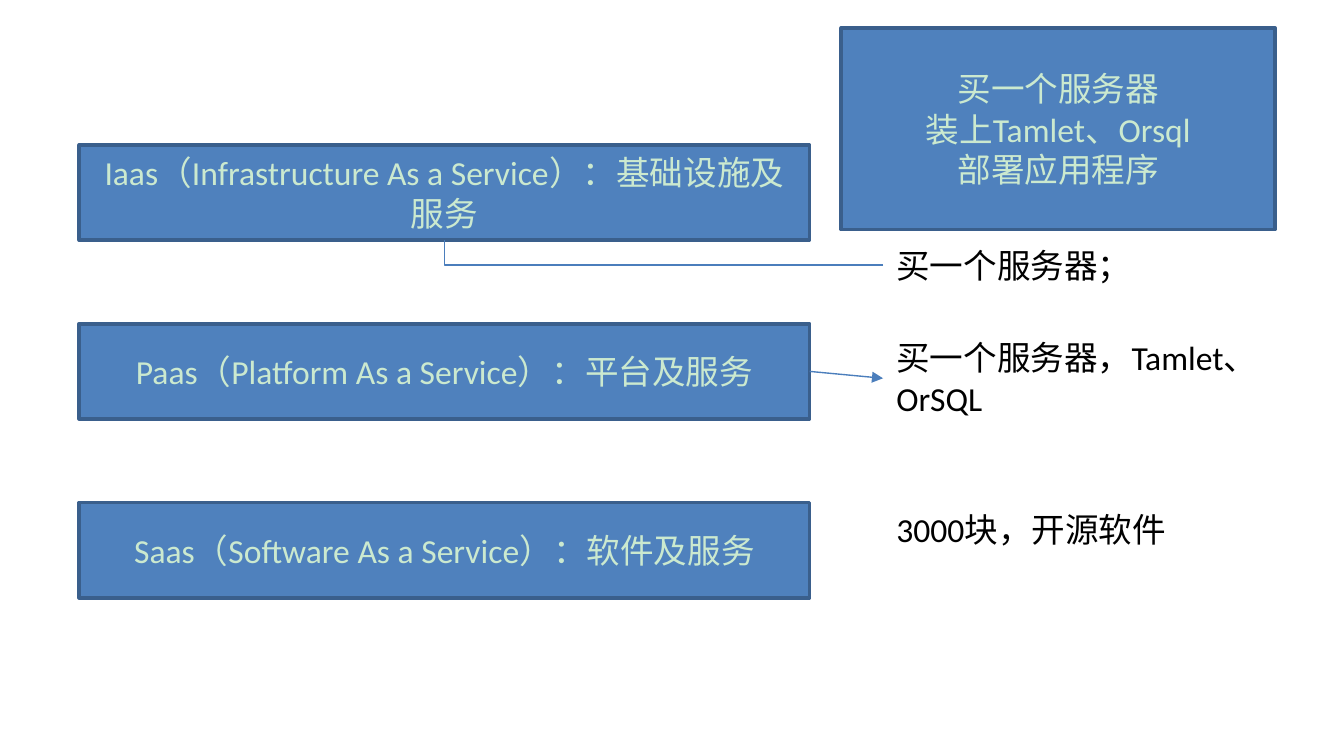
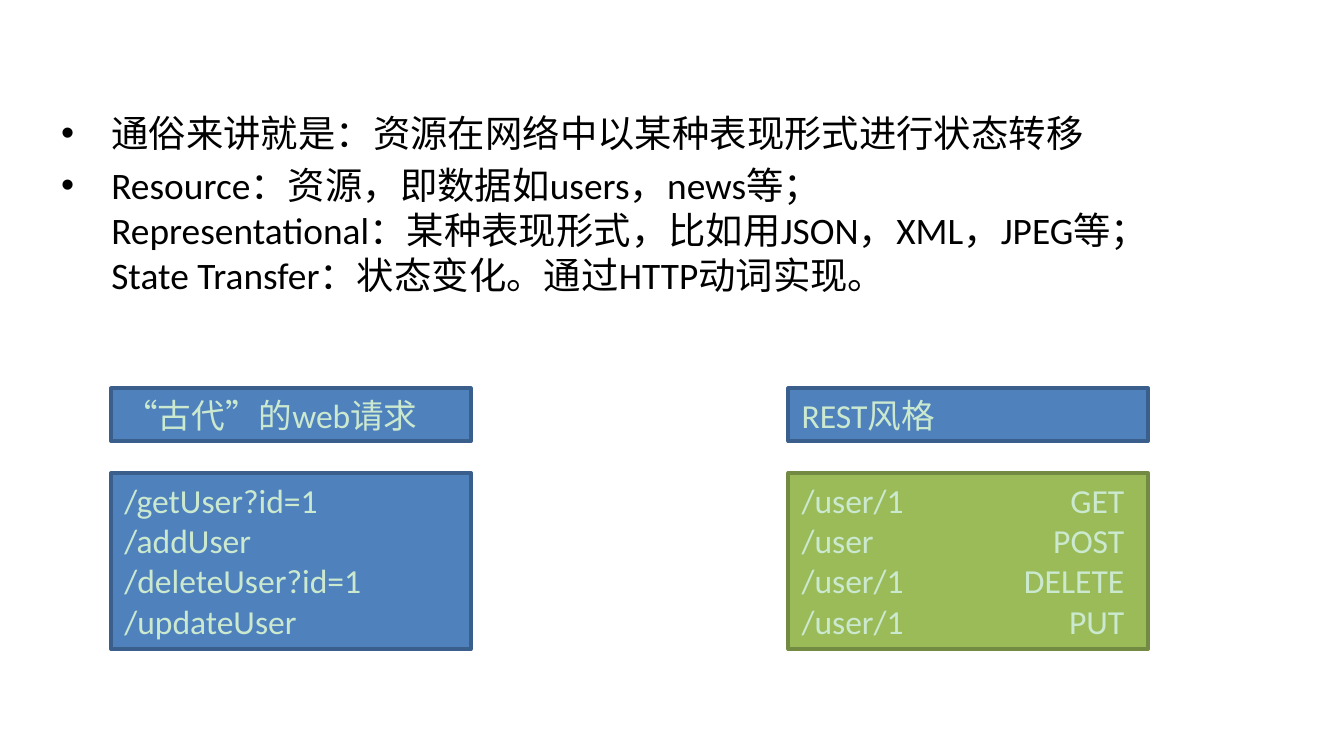
from lxml import etree
from pptx import Presentation
from pptx.dml.color import RGBColor
from pptx.enum import shapes as es, text as et
from pptx.oxml import ns
from pptx.util import Cm, Pt

COLORS = {"blue": "4F81BD", "blue_edge": "3A5F8C", "green": "9BBB59", "green_edge": "738A42",
          "link": "4B7EBC", "pale": "CBE9CF", "black": "000000"}
FONT = "Calibri"
LEFT, CENTER = et.PP_ALIGN.LEFT, et.PP_ALIGN.CENTER
TOP, MIDDLE = et.MSO_ANCHOR.TOP, et.MSO_ANCHOR.MIDDLE


def rgb(name):
    return RGBColor.from_string(COLORS[name])


def write(frame, lines, color, size=18, align=LEFT, anchor=TOP):
    """Fill a text frame with one paragraph per line."""
    frame.word_wrap = True
    frame.vertical_anchor = anchor
    frame.text = "\n".join(lines)
    for paragraph in frame.paragraphs:
        paragraph.alignment = align
        paragraph.font.name = FONT
        paragraph.font.size = Pt(size)
        paragraph.font.color.rgb = rgb(color)


def add_panel(slide, box, lines, fill="blue", align=LEFT, anchor=MIDDLE):
    panel = slide.shapes.add_shape(es.MSO_SHAPE.RECTANGLE, *map(Cm, box))
    panel.shadow.inherit = False
    panel.fill.solid()
    panel.fill.fore_color.rgb = rgb(fill)
    panel.line.color.rgb = rgb(fill + "_edge")
    panel.line.width = Pt(2)
    write(panel.text_frame, lines, "pale", align=align, anchor=anchor)
    return panel


def add_note(slide, box, line):
    note = slide.shapes.add_textbox(*map(Cm, box))
    write(note.text_frame, [line], "black")
    return note


def add_link(slide, kind, start, start_site, end, end_site):
    """Connect two shapes at the given connection sites."""
    link = slide.shapes.add_connector(kind, 0, 0, 0, 0)
    link.begin_connect(start, start_site)
    link.end_connect(end, end_site)
    link.line.color.rgb = rgb("link")
    link.line.width = Pt(0.75)
    etree.SubElement(link._element.spPr, ns.qn("a:effectLst"))
    return link


def add_service_models(slide, box):
    """Three stacked service models, each with a note on its right."""
    left, top, width, height = box
    pitch, note_left = 3.38, left + 15.19
    models = ["Iaas（Infrastructure As a Service）：基础设施及服务",
              "Paas（Platform As a Service）：平台及服务",
              "Saas（Software As a Service）：软件及服务"]
    iaas, paas, _ = [add_panel(slide, (left, top + row * pitch, width, height), [model], align=CENTER)
                     for row, model in enumerate(models)]

    server = add_note(slide, (note_left, top + 1.76, 5, 1.02), "买一个服务器；")
    platform = add_note(slide, (note_left, top + 3.51, 8.71, 1.8), "买一个服务器，Tamlet、OrSQL")
    add_note(slide, (note_left, top + 2 * pitch, 8.71, 1.02), "3000块，开源软件")

    # The elbow runs left from the note, then up to the box
    elbow = add_link(slide, es.MSO_CONNECTOR.ELBOW, server, 1, iaas, 2)
    elbow._element.spPr.find(ns.qn("a:prstGeom")).set("prst", "bentConnector2")
    arrow = add_link(slide, es.MSO_CONNECTOR.STRAIGHT, paas, 3, platform, 1)
    etree.SubElement(arrow.line._get_or_add_ln(), ns.qn("a:tailEnd"), type="triangle")


def add_definition(slide, box):
    """Bulleted explanation in the body placeholder."""
    slide.shapes.title._element.getparent().remove(slide.shapes.title._element)
    body = slide.placeholders[1]
    body.left, body.top, body.width, body.height = map(Cm, box)
    write(body.text_frame, [
        "通俗来讲就是：资源在网络中以某种表现形式进行状态转移",
        "Resource：资源，即数据如users，news等；\v"
        "Representational：某种表现形式，比如用JSON，XML，JPEG等；\v"
        "State Transfer：状态变化。通过HTTP动词实现。"], "black", size=20)
    body.text_frame.auto_size = et.MSO_AUTO_SIZE.NONE
    for paragraph in body.text_frame.paragraphs:
        properties = paragraph._p.get_or_add_pPr()
        properties.set("marL", str(Cm(0.95)))
        properties.set("indent", str(-Cm(0.95)))


def add_request_style(slide, box, heading, requests, fill="blue"):
    """Heading bar above a panel of request lines."""
    left, top, width, height = box
    add_panel(slide, (left, top, width, 1), [heading])
    return add_panel(slide, (left, top + 1.6, width, height - 1.6), requests, fill, anchor=TOP)


def align_verbs(panel, position):
    """Right-align the text after each tab."""
    for paragraph in panel.text_frame.paragraphs:
        tabs = etree.Element(ns.qn("a:tabLst"))
        etree.SubElement(tabs, ns.qn("a:tab"), pos=str(Cm(position)), algn="r")
        paragraph._p.get_or_add_pPr().insert(0, tabs)


def build_service_slide(deck):
    slide = deck.slides.add_slide(deck.slide_layouts[6])
    add_service_models(slide, (1.5, 2.74, 13.8, 1.8))
    add_panel(slide, (15.9, 0.53, 8.2, 3.81),
              ["买一个服务器", "装上Tamlet、Orsql", "部署应用程序"], align=CENTER)


def build_rest_slide(deck):
    slide = deck.slides.add_slide(deck.slide_layouts[1])
    add_definition(slide, (0.9, 1.95, 24, 5))
    add_request_style(slide, (2.1, 7.34, 6.8, 4.93), "“古代”的web请求",
                      ["/getUser?id=1", "/addUser", "/deleteUser?id=1", "/updateUser"])
    rest = add_request_style(slide, (14.9, 7.34, 6.8, 4.93), "REST风格",
                             ["/user/1\tGET", "/user\tPOST", "/user/1\tDELETE", "/user/1\tPUT"], "green")
    align_verbs(rest, 6.1)


def main():
    deck = Presentation()
    deck.slide_width, deck.slide_height = Cm(25.4), Cm(14.29)
    build_service_slide(deck)
    build_rest_slide(deck)
    deck.save("out.pptx")


if __name__ == "__main__":
    main()
